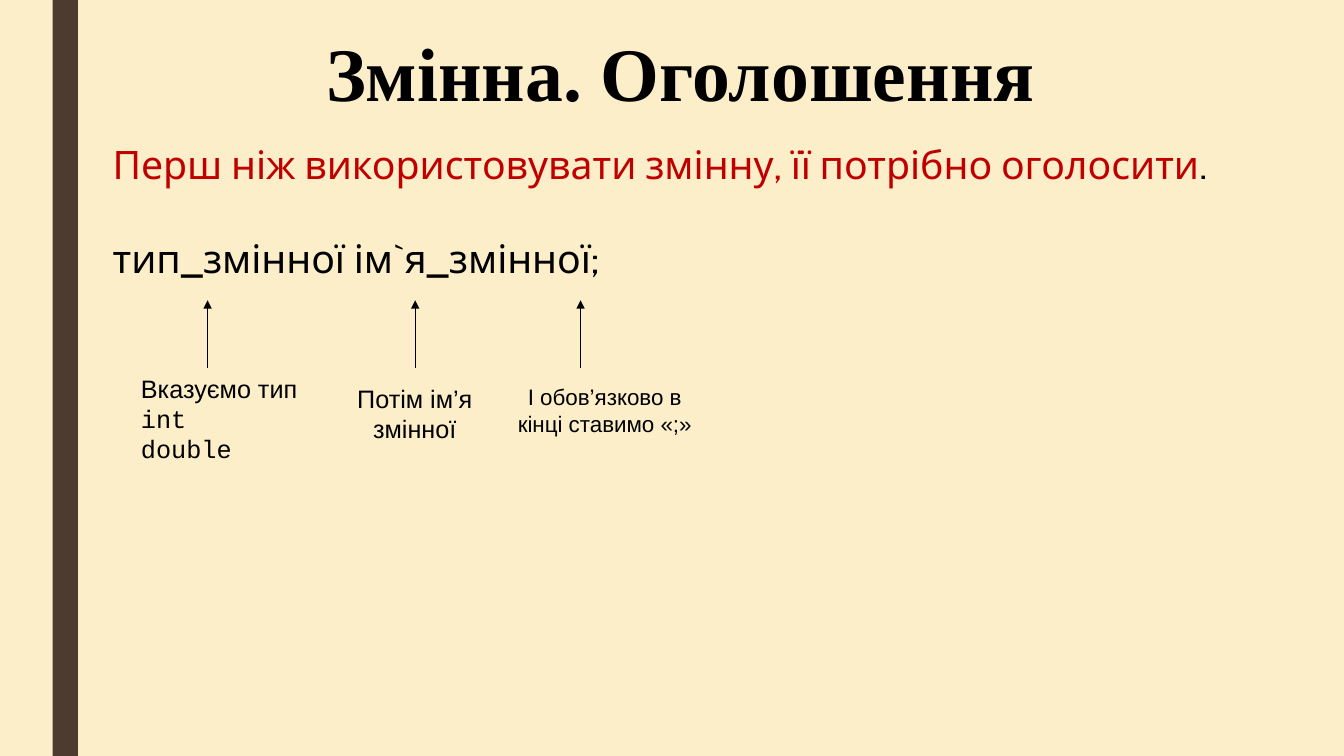
"""Build a slide that explains how a variable is declared."""
from dataclasses import dataclass

from lxml import etree
from pptx import Presentation
from pptx.dml.color import RGBColor
from pptx.enum.shapes import MSO_CONNECTOR as Connector, MSO_SHAPE as Shape
from pptx.enum.text import MSO_ANCHOR as Anchor, MSO_AUTO_SIZE as AutoSize, PP_ALIGN as Align
from pptx.oxml.ns import qn
from pptx.slide import Slide
from pptx.text.text import TextFrame
from pptx.util import Pt

CREAM = RGBColor(0xFB, 0xEE, 0xC9)
BROWN = RGBColor(0x4E, 0x3B, 0x30)
RED = RGBColor(0xC0, 0x00, 0x00)
BLACK = RGBColor(0x00, 0x00, 0x00)

ARROW_TOP = 214.5
ARROW_BOTTOM = 262.8


@dataclass(frozen=True)
class Line:
    text: str
    font: str = "Arial"


@dataclass(frozen=True)
class Note:
    arrow_x: float
    left: float
    top: float
    width: float
    height: float
    size: float
    align: Align
    lines: tuple[Line, ...]


NOTES = (
    Note(148.3, 93.6, 262.8, 127.4, 72.7, 18, Align.LEFT,
         (Line("Вказуємо тип"), Line("int", "Courier New"), Line("double", "Courier New"))),
    Note(296.6, 232.6, 270, 127.4, 51, 18, Align.CENTER, (Line("Потім ім’я змінної"),)),
    Note(414.7, 359.3, 270, 145.4, 46, 16, Align.CENTER,
         (Line("І обов’язково в кінці ставимо «;»"),)),
)


def add_frame(page: Slide, left: float, top: float, width: float, height: float) -> TextFrame:
    box = page.shapes.add_textbox(Pt(left), Pt(top), Pt(width), Pt(height))
    box.text_frame.word_wrap = True
    return box.text_frame


def add_side_bar(page: Slide) -> None:
    bar = page.shapes.add_shape(Shape.RECTANGLE, Pt(37.6), Pt(0), Pt(18), Pt(540))
    bar.shadow.inherit = False
    bar.fill.solid()
    bar.fill.fore_color.rgb = BROWN
    bar.line.fill.background()


def set_title(page: Slide, text: str) -> None:
    title = page.shapes.title
    title.left, title.top, title.width, title.height = Pt(54.7), Pt(15.1), Pt(862.6), Pt(72.7)
    frame = title.text_frame
    frame.auto_size = AutoSize.NONE
    frame.vertical_anchor = Anchor.TOP
    para = frame.paragraphs[0]
    para.text = text
    para.alignment = Align.CENTER
    font = para.font
    font.name, font.size, font.bold = "Times New Roman", Pt(54), True
    font.color.rgb = BLACK


def add_rule(page: Slide) -> None:
    frame = add_frame(page, 73.4, 96.5, 862.6, 108.7)
    first, second = frame.paragraphs[0], frame.add_paragraph()
    span = first.add_run()
    span.text = "Перш ніж використовувати змінну, її потрібно оголосити"
    span.font.color.rgb = RED
    first.add_run().text = "."
    second.text = "тип_змінної ім`я_змінної;"
    second.space_before = Pt(34)
    for para in frame.paragraphs:
        para.font.name, para.font.size = "Cabin", Pt(28)
        para.font.color.rgb = BLACK


def add_arrow(page: Slide, x: float) -> None:
    arrow = page.shapes.add_connector(
        Connector.STRAIGHT, Pt(x), Pt(ARROW_BOTTOM), Pt(x), Pt(ARROW_TOP))
    arrow.line.color.rgb = BLACK
    arrow.line.width = Pt(0.5)
    etree.SubElement(arrow.line._get_or_add_ln(), qn("a:tailEnd"), type="triangle")
    etree.SubElement(arrow._element.spPr, qn("a:effectLst"))


def add_note(page: Slide, note: Note) -> None:
    add_arrow(page, note.arrow_x)
    frame = add_frame(page, note.left, note.top, note.width, note.height)
    for index, line in enumerate(note.lines):
        para = frame.add_paragraph() if index else frame.paragraphs[0]
        para.text = line.text
        para.alignment = note.align
        para.font.name, para.font.size = line.font, Pt(note.size)
        para.font.color.rgb = BLACK


def main() -> None:
    deck = Presentation()
    deck.slide_width, deck.slide_height = Pt(960), Pt(540)
    page = deck.slides.add_slide(deck.slide_layouts[5])
    page.background.fill.solid()
    page.background.fill.fore_color.rgb = CREAM
    add_side_bar(page)
    set_title(page, "Змінна. Оголошення")
    add_rule(page)
    for note in NOTES:
        add_note(page, note)
    deck.save("out.pptx")


if __name__ == "__main__":
    main()
